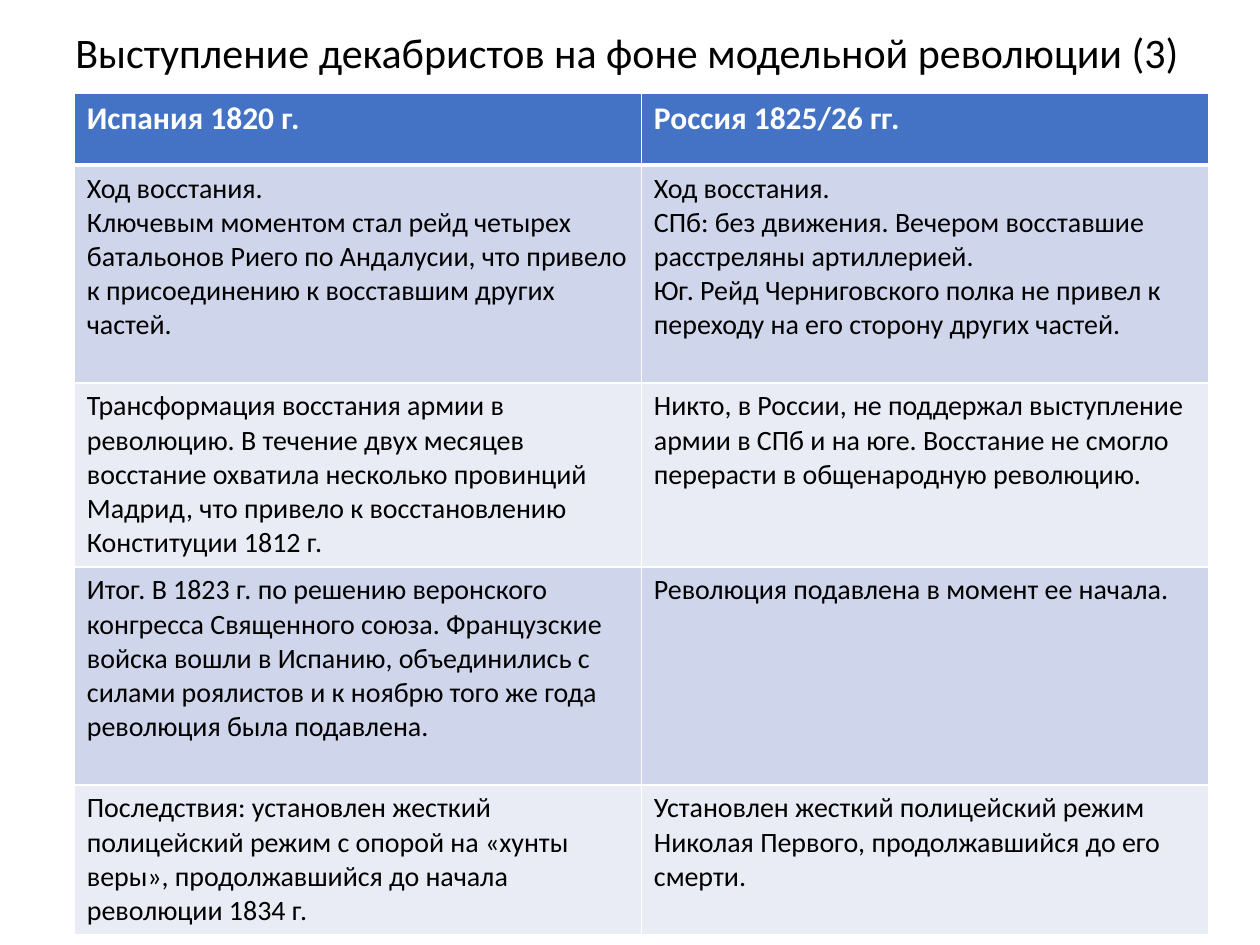
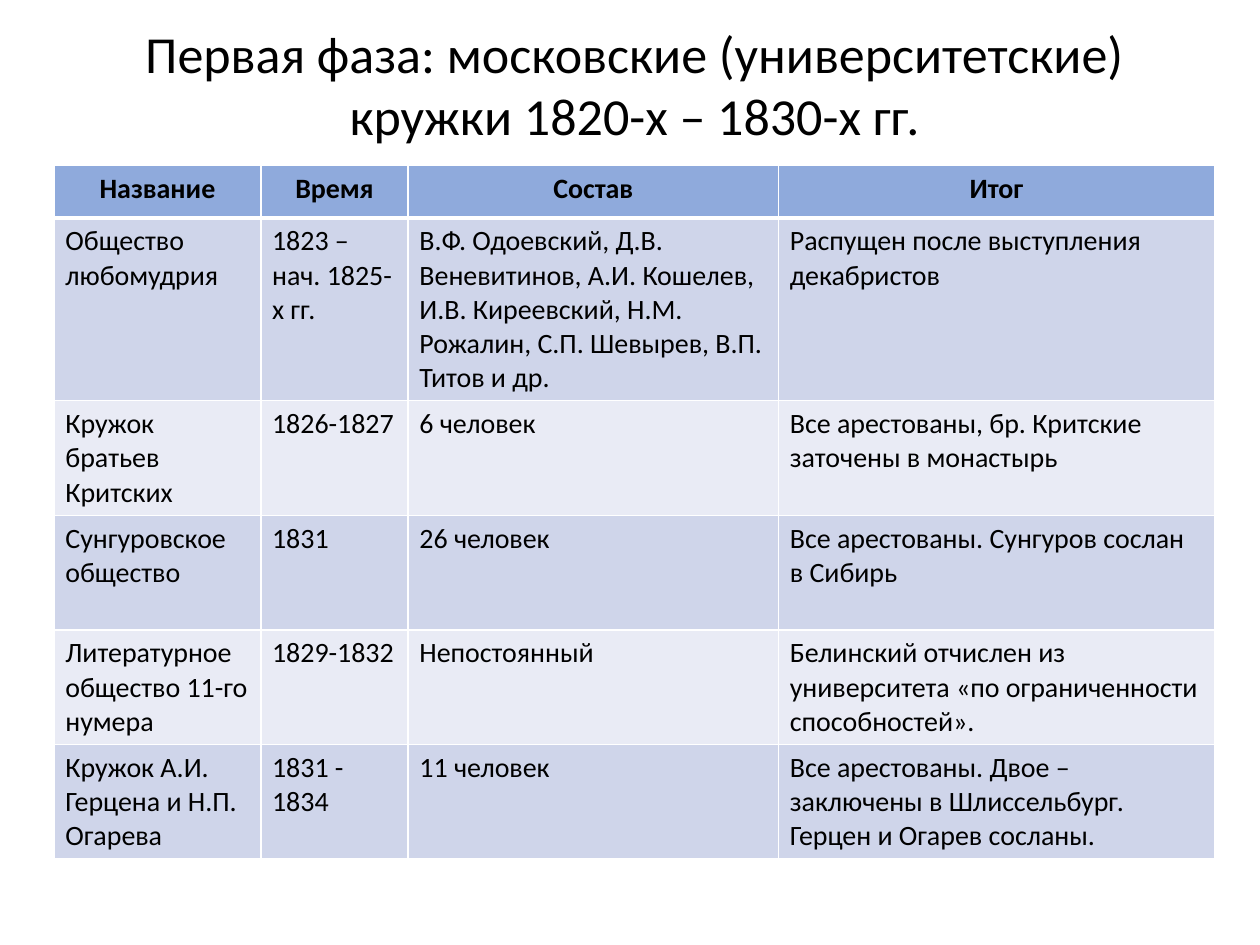
from dataclasses import dataclass

import pptx
import pptx.dml.color
import pptx.enum.text
import pptx.oxml
import pptx.oxml.ns
import pptx.presentation
import pptx.slide
import pptx.table
import pptx.text.text
import pptx.util
from pptx.util import Inches

Align = pptx.enum.text.PP_ALIGN
Anchor = pptx.enum.text.MSO_ANCHOR


@dataclass(frozen=True)
class Theme:
    font: str = "Calibri"
    text: str = "000000"
    white: str = "FFFFFF"
    deep_blue: str = "4472C4"
    soft_blue: str = "8FAADC"
    bands: tuple[str, str] = ("CFD5EA", "E9EBF5")
    body_size: float = 16
    column_head_size: float = 18
    long_title_size: float = 24
    title_size: float = 29.7
    grid_width: float = 1
    head_rule_width: float = 3


THEME = Theme()


@dataclass(frozen=True)
class TextStyle:
    size: float
    color: str = THEME.text
    bold: bool = False
    align: Align = Align.LEFT
    line_spacing: float = 1.0


@dataclass(frozen=True)
class Title:
    text: str
    box: tuple[float, float, float, float]
    style: TextStyle


@dataclass(frozen=True)
class Comparison:
    """A table whose first row is the heading row."""
    left: float
    top: float
    columns: list[float]
    heights: list[float]
    side_margin: float
    head_fill: str
    head_style: TextStyle
    rows: list[list[str]]


@dataclass(frozen=True)
class Page:
    title: Title
    table: Comparison


BODY = TextStyle(THEME.body_size)

UPRISING = Page(
    Title(
        "Выступление декабристов на фоне модельной революции (3)",
        (0.5, 0.13, 9, 0.61),
        TextStyle(THEME.long_title_size, line_spacing=0.9),
    ),
    Comparison(
        left=0.59, top=0.74, columns=[4.5, 4.5],
        heights=[0.57, 1.73, 1.46, 1.73, 1.19], side_margin=0.1,
        head_fill=THEME.deep_blue,
        head_style=TextStyle(THEME.column_head_size, THEME.white, True),
        rows=[
            ["Испания 1820 г.", "Россия 1825/26 гг."],
            ["Ход восстания.\nКлючевым моментом стал рейд четырех батальонов Риего "
             "по Андалусии, что привело к присоединению к восставшим других частей.",
             "Ход восстания.\nСПб: без движения. Вечером восставшие расстреляны "
             "артиллерией.\nЮг. Рейд Черниговского полка не привел к переходу на его "
             "сторону других частей."],
            ["Трансформация восстания армии в революцию. В течение двух месяцев "
             "восстание охватила несколько провинций Мадрид, что привело к "
             "восстановлению Конституции 1812 г.",
             "Никто, в России, не поддержал выступление армии в СПб и на юге. "
             "Восстание не смогло перерасти в общенародную революцию."],
            ["Итог. В 1823 г. по решению веронского конгресса Священного союза. "
             "Французские войска вошли в Испанию, объединились с силами роялистов и к "
             "ноябрю того же года революция была подавлена.",
             "Революция подавлена в момент ее начала."],
            ["Последствия: установлен жесткий полицейский режим с опорой на «хунты "
             "веры», продолжавшийся до начала революции 1834 г.",
             "Установлен жесткий полицейский режим Николая Первого, продолжавшийся "
             "до его смерти."],
        ],
    ),
)

CIRCLES = Page(
    Title(
        "Первая фаза: московские (университетские) кружки 1820-х – 1830-х гг.",
        (0.54, 0.2, 9, 0.93),
        TextStyle(THEME.title_size, align=Align.CENTER),
    ),
    Comparison(
        left=0.43, top=1.31, columns=[1.64, 1.17, 2.94, 3.46],
        heights=[0.42, 1.45] + [0.91] * 4, side_margin=0.09,
        head_fill=THEME.soft_blue,
        head_style=TextStyle(THEME.body_size, bold=True, align=Align.CENTER),
        rows=[
            ["Название", "Время", "Состав", "Итог"],
            ["Общество любомудрия", "1823 – нач. 1825-х гг.",
             "В.Ф. Одоевский, Д.В. Веневитинов, А.И. Кошелев, И.В. Киреевский, "
             "Н.М. Рожалин, С.П. Шевырев, В.П. Титов и др.",
             "Распущен после выступления декабристов"],
            ["Кружок братьев Критских", "1826-1827", "6 человек",
             "Все арестованы, бр. Критские заточены в монастырь"],
            ["Сунгуровское общество", "1831", "26 человек",
             "Все арестованы. Сунгуров сослан в Сибирь"],
            ["Литературное общество 11-го нумера", "1829-1832", "Непостоянный",
             "Белинский отчислен из университета «по ограниченности способностей»."],
            ["Кружок А.И. Герцена и Н.П. Огарева", "1831 - 1834", "11 человек",
             "Все арестованы. Двое – заключены в Шлиссельбург. Герцен и Огарев "
             "сосланы."],
        ],
    ),
)


def rgb(value: str) -> pptx.dml.color.RGBColor:
    return pptx.dml.color.RGBColor.from_string(value)


def write(frame: pptx.text.text.TextFrame, text: str, style: TextStyle) -> None:
    """Fill the frame, one paragraph per line of text."""
    frame.text = text
    font_format = {
        "name": THEME.font,
        "size": pptx.util.Pt(style.size),
        "bold": style.bold,
    }
    for paragraph in frame.paragraphs:
        paragraph.alignment = style.align
        paragraph.line_spacing = style.line_spacing
        for run in paragraph.runs:
            for attribute, value in font_format.items():
                setattr(run.font, attribute, value)
            run.font.color.rgb = rgb(style.color)


def add_title(slide: pptx.slide.Slide, title: Title) -> None:
    frame = slide.shapes.add_textbox(*map(Inches, title.box)).text_frame
    frame_format = {
        "word_wrap": True,
        "vertical_anchor": Anchor.MIDDLE,
        "margin_left": Inches(0.1),
        "margin_right": Inches(0.1),
        "margin_top": Inches(0.05),
        "margin_bottom": Inches(0.05),
    }
    for attribute, value in frame_format.items():
        setattr(frame, attribute, value)
    write(frame, title.text, title.style)


def add_borders(cell: pptx.table._Cell, widths: dict[str, float]) -> None:
    """Draw white cell edges; call before the fill, which must follow them."""
    properties = cell._tc.get_or_add_tcPr()
    for edge, width in widths.items():
        properties.append(pptx.oxml.parse_xml(
            f'<a:ln{edge} {pptx.oxml.ns.nsdecls("a")} w="{pptx.util.Pt(width)}">'
            f'<a:solidFill><a:srgbClr val="{THEME.white}"/></a:solidFill>'
            f'</a:ln{edge}>'
        ))


def add_comparison(slide: pptx.slide.Slide, spec: Comparison) -> None:
    table = slide.shapes.add_table(
        len(spec.heights), len(spec.columns),
        Inches(spec.left), Inches(spec.top),
        Inches(sum(spec.columns)), Inches(sum(spec.heights)),
    ).table
    table.horz_banding = False
    for column, width in zip(table.columns, spec.columns):
        column.width = Inches(width)
    for row, height in zip(table.rows, spec.heights):
        row.height = Inches(height)

    cell_format = {
        "margin_left": Inches(spec.side_margin),
        "margin_right": Inches(spec.side_margin),
        "margin_top": Inches(0.05),
        "margin_bottom": Inches(0.05),
    }
    for row_index, texts in enumerate(spec.rows):
        is_head = row_index == 0
        fill = spec.head_fill if is_head else THEME.bands[(row_index - 1) % 2]
        borders = dict.fromkeys("LRTB", THEME.grid_width)
        if row_index < 2:
            borders["B" if is_head else "T"] = THEME.head_rule_width
        for column_index, text in enumerate(texts):
            cell = table.cell(row_index, column_index)
            for attribute, value in cell_format.items():
                setattr(cell, attribute, value)
            add_borders(cell, borders)
            cell.fill.solid()
            cell.fill.fore_color.rgb = rgb(fill)
            write(cell.text_frame, text, spec.head_style if is_head else BODY)


def add_page(deck: pptx.presentation.Presentation, page: Page) -> None:
    slide = deck.slides.add_slide(deck.slide_layouts[6])
    slide.background.fill.solid()
    slide.background.fill.fore_color.rgb = rgb(THEME.white)
    add_title(slide, page.title)
    add_comparison(slide, page.table)


def main() -> None:
    deck = pptx.Presentation()
    deck.slide_width = Inches(10)
    deck.slide_height = Inches(7.5)
    for page in (UPRISING, CIRCLES):
        add_page(deck, page)
    deck.save("out.pptx")


if __name__ == "__main__":
    main()
